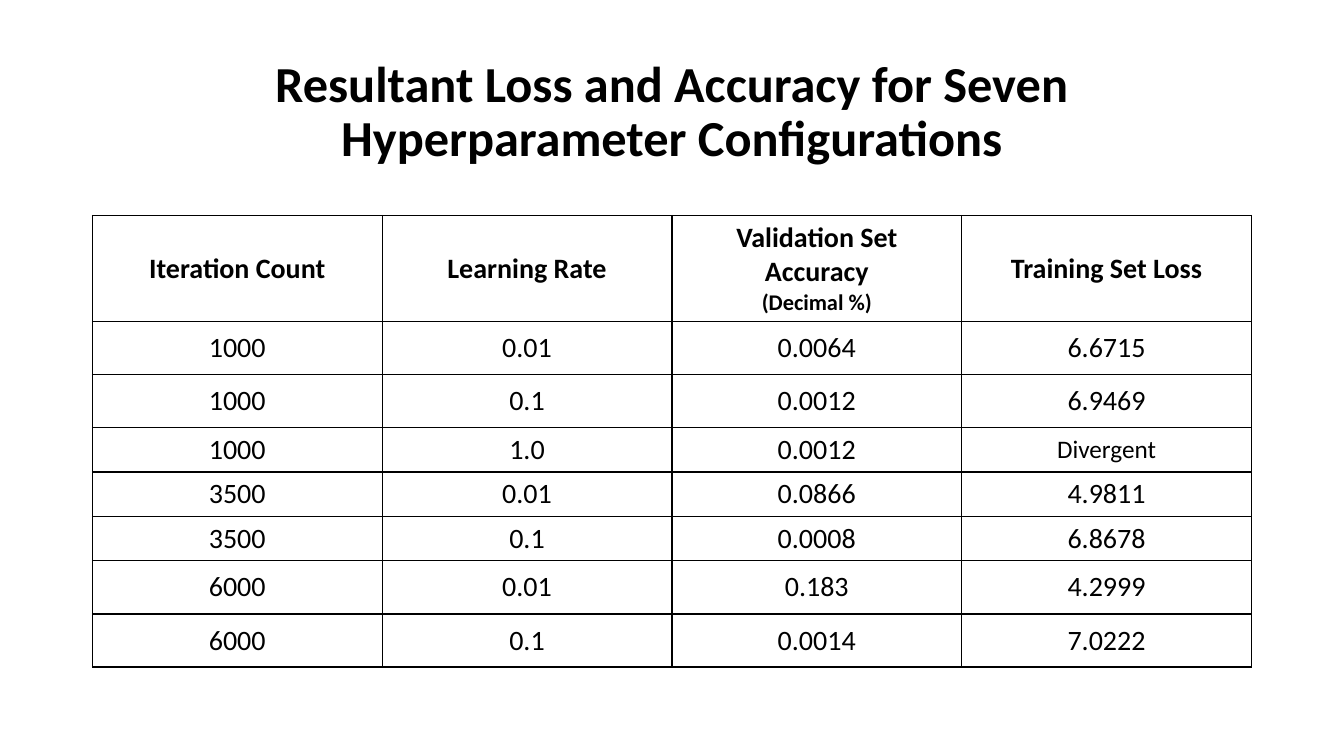
from lxml import etree
from pptx import Presentation
from pptx.dml.color import RGBColor
from pptx.enum.text import MSO_ANCHOR, PP_ALIGN
from pptx.oxml.ns import qn
from pptx.util import Pt

TITLE = "Resultant Loss and Accuracy for Seven Hyperparameter Configurations"
HEADERS = ["Iteration Count", "Learning Rate",
           "Validation Set Accuracy\n(Decimal %)", "Training Set Loss"]
RESULTS = [
    ("1000", "0.01", "0.0064", "6.6715"),
    ("1000", "0.1", "0.0012", "6.9469"),
    ("1000", "1.0", "0.0012", "Divergent"),
    ("3500", "0.01", "0.0866", "4.9811"),
    ("3500", "0.1", "0.0008", "6.8678"),
    ("6000", "0.01", "0.183", "4.2999"),
    ("6000", "0.1", "0.0014", "7.0222"),
]
SMALL_SIZES = {"(Decimal %)": 16, "Divergent": 18}

HEADER_HEIGHT, TALL, SHORT = 75.6, 37.9, 31.7
ROW_HEIGHTS = [HEADER_HEIGHT, TALL, TALL, SHORT, SHORT, SHORT, TALL, TALL]
LEFT, WIDTH, TABLE_TOP = 66, 828, 153.9
FONT = "Calibri"
BLACK = RGBColor(0, 0, 0)
WHITE = RGBColor(255, 255, 255)
CENTER = PP_ALIGN.CENTER
MIDDLE = MSO_ANCHOR.MIDDLE


def style_paragraph(para, size, bold):
    para.alignment = CENTER
    para.font.name = FONT
    para.font.size = Pt(size)
    para.font.bold = bold
    para.font.color.rgb = BLACK


def add_borders(cell):
    properties = cell._tc.get_or_add_tcPr()
    for index, side in enumerate(("a:lnL", "a:lnR", "a:lnT", "a:lnB")):
        line = etree.Element(qn(side), w=str(Pt(1)))
        fill = etree.SubElement(line, qn("a:solidFill"))
        etree.SubElement(fill, qn("a:srgbClr"), val=str(BLACK))
        properties.insert(index, line)


def fill_cell(cell, text, bold):
    cell.text = text
    cell.vertical_anchor = MIDDLE
    cell.fill.solid()
    cell.fill.fore_color.rgb = WHITE
    for para in cell.text_frame.paragraphs:
        style_paragraph(para, SMALL_SIZES.get(para.text, 20), bold)
    add_borders(cell)


def add_title(page):
    title = page.shapes.title
    title.left, title.top, title.width, title.height = (
        Pt(value) for value in (LEFT, 28.75, WIDTH, 104.4))
    title.text_frame.text = TITLE
    title.text_frame.word_wrap = True
    title.text_frame.vertical_anchor = MIDDLE
    para = title.text_frame.paragraphs[0]
    style_paragraph(para, 36, True)
    para.line_spacing = 0.9


def add_results(page):
    rows = [HEADERS, *RESULTS]
    table = page.shapes.add_table(
        len(rows), len(HEADERS), Pt(LEFT), Pt(TABLE_TOP),
        Pt(WIDTH), Pt(sum(ROW_HEIGHTS))).table
    table.horz_banding = False
    for column in table.columns:
        column.width = Pt(WIDTH / len(HEADERS))
    for row_index, (texts, height) in enumerate(zip(rows, ROW_HEIGHTS)):
        table.rows[row_index].height = Pt(height)
        for column_index, text in enumerate(texts):
            fill_cell(table.cell(row_index, column_index), text, row_index == 0)


def main():
    deck = Presentation()
    deck.slide_width, deck.slide_height = Pt(960), Pt(540)
    page = deck.slides.add_slide(deck.slide_layouts[5])
    add_title(page)
    add_results(page)
    deck.save("out.pptx")


if __name__ == "__main__":
    main()
